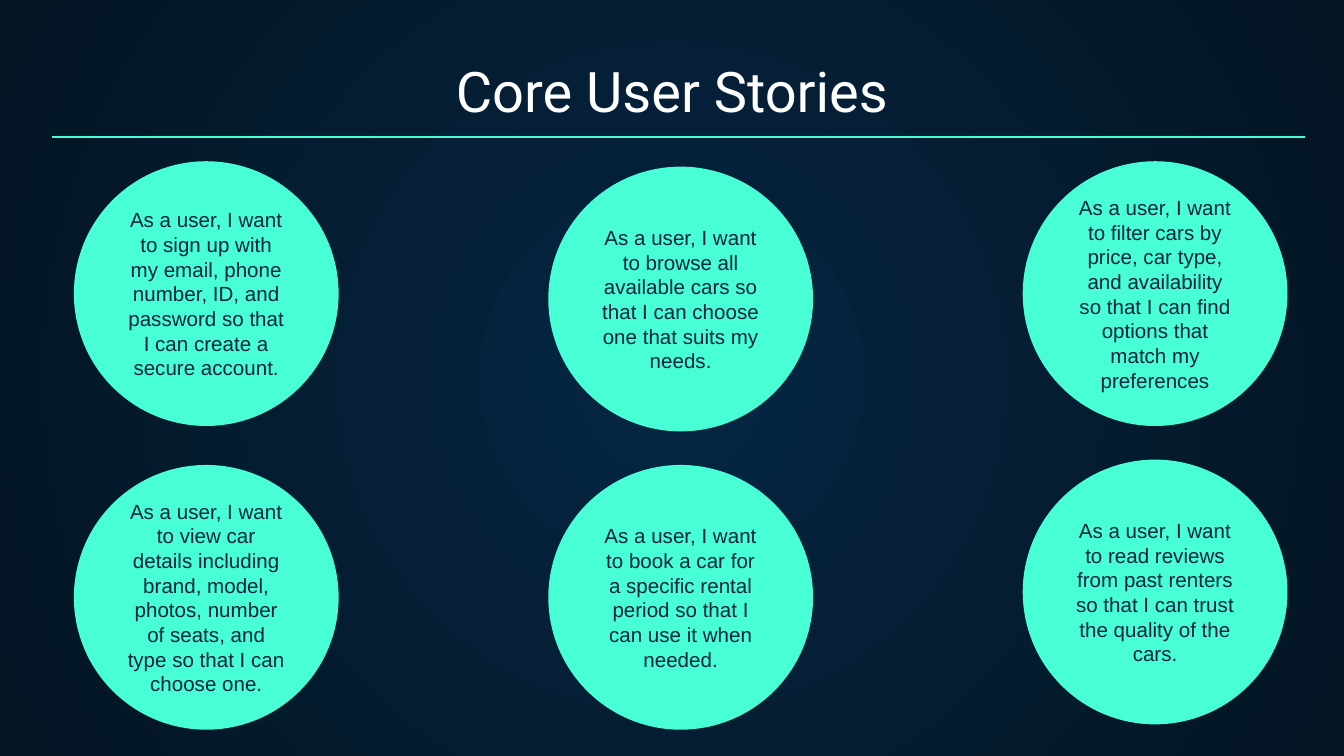
from lxml.etree import SubElement
from pptx import Presentation
from pptx.dml.color import RGBColor
from pptx.enum.shapes import MSO_CONNECTOR, MSO_SHAPE
from pptx.enum.text import MSO_ANCHOR, MSO_AUTO_SIZE, PP_ALIGN
from pptx.oxml.ns import qn
from pptx.util import Inches, Pt

NAVY = RGBColor(0x05, 0x26, 0x43)
NIGHT = RGBColor(0x04, 0x15, 0x23)
MINT = RGBColor(0x48, 0xFF, 0xD5)
INK = RGBColor(0x05, 0x23, 0x3D)
WHITE = RGBColor(0xFF, 0xFF, 0xFF)

DIAMETER = 1.97
LEFT, COLUMN_STEP = 0.55, 3.53

# Each story with the top of its circle, row by row
STORY_ROWS = [
    [
        (1.2, "As a user, I want to sign up with my email, phone number, ID, "
              "and password so that I can create a secure account."),
        (1.24, "As a user, I want to browse all available cars so that I can "
               "choose one that suits my needs."),
        (1.2, "As a user, I want to filter cars by price, car type, and "
              "availability so that I can find options that match my preferences"),
    ],
    [
        (3.46, "As a user, I want to view car details including brand, model, "
               "photos, number of seats, and type so that I can choose one."),
        (3.46, "As a user, I want to book a car for a specific rental period "
               "so that I can use it when needed."),
        (3.42, "As a user, I want to read reviews from past renters so that I "
               "can trust the quality of the cars."),
    ],
]


def set_background(s):
    """Radial gradient, lighter in the middle."""
    fill = s.background.fill
    fill.gradient()
    for stop, color, position in zip(fill.gradient_stops, (NAVY, NIGHT), (0, 1)):
        stop.color.rgb = color
        stop.position = position
    lin = next(s.element.iter(qn("a:lin")))
    grad = lin.getparent()
    grad.remove(lin)
    radial = SubElement(grad, qn("a:path"), path="circle")
    SubElement(radial, qn("a:fillToRect"), l="50000", t="50000", r="50000", b="50000")


def write(sp, text, font, size, color, anchor):
    tf = sp.text_frame
    tf.word_wrap = True
    tf.auto_size = MSO_AUTO_SIZE.NONE
    tf.vertical_anchor = anchor
    tf.margin_left = tf.margin_right = Inches(0.1)
    tf.margin_top = tf.margin_bottom = Inches(0.1)
    p = tf.paragraphs[0]
    p.alignment = PP_ALIGN.CENTER
    r = p.add_run()
    r.text = text
    r.font.name = font
    r.font.size = Pt(size)
    r.font.color.rgb = color


def set_title(s, text):
    sp = s.shapes.title
    sp.left, sp.top = Inches(0.34), Inches(0.36)
    sp.width, sp.height = Inches(9.32), Inches(0.66)
    write(sp, text, "Roboto", 30, WHITE, MSO_ANCHOR.BOTTOM)


def add_rule(s, x1, x2, y):
    line = s.shapes.add_connector(
        MSO_CONNECTOR.STRAIGHT, Inches(x1), Inches(y), Inches(x2), Inches(y))
    line.line.color.rgb = MINT
    line.line.width = Pt(0.75)
    SubElement(line.element.spPr, qn("a:effectLst"))


def add_story(s, x, y, text):
    sp = s.shapes.add_shape(
        MSO_SHAPE.OVAL, Inches(x), Inches(y), Inches(DIAMETER), Inches(DIAMETER))
    sp.shadow.inherit = False
    sp.fill.solid()
    sp.fill.fore_color.rgb = MINT
    sp.line.fill.background()
    write(sp, text, "Arial", 11, INK, MSO_ANCHOR.MIDDLE)


def main():
    prs = Presentation()
    # 16:9 page
    prs.slide_width = Inches(10)
    prs.slide_height = Inches(10 * 9 / 16)
    s = prs.slides.add_slide(prs.slide_layouts[5])
    set_background(s)

    # Heading
    set_title(s, "Core User Stories")
    add_rule(s, 0.39, 9.71, 1.02)

    # Story circles
    for row in STORY_ROWS:
        for column, (top, text) in enumerate(row):
            add_story(s, LEFT + column * COLUMN_STEP, top, text)

    prs.save("out.pptx")


if __name__ == "__main__":
    main()
